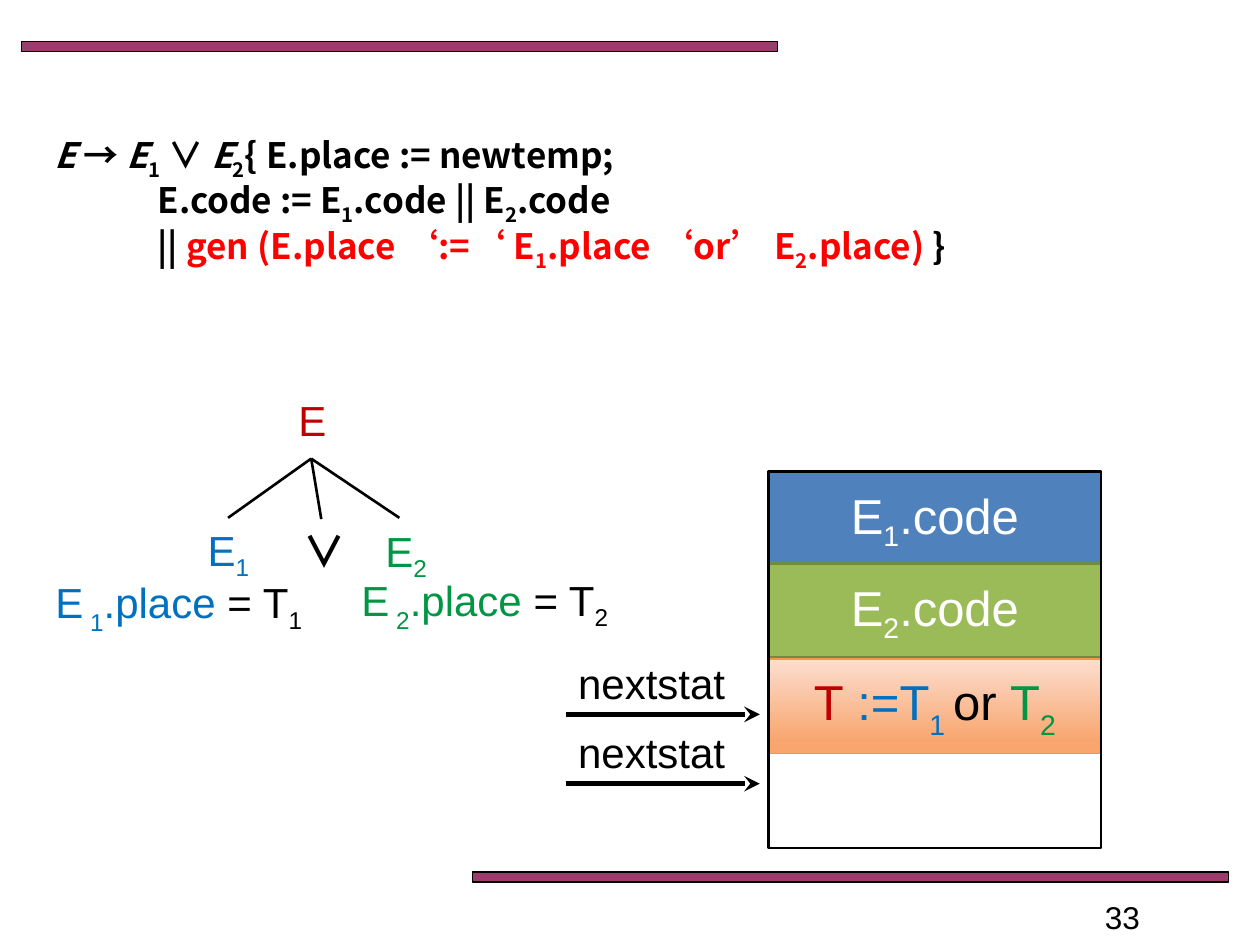
from pptx import Presentation
from pptx.dml.color import RGBColor
from pptx.enum import shapes, text
from pptx.oxml import ns, xmlchemy
from pptx.util import Inches, Pt

BLACK, WHITE, RED = "000000", "FFFFFF", "FF0000"
CRIMSON, BLUE, GREEN = "C00000", "0070C0", "009644"
SANS, CJK = "Arial", "Noto Sans CJK SC"


def rgb(code):
    return RGBColor.from_string(code)


def sub(parent, tag, **attrs):
    """Append a DrawingML element to parent."""
    node = xmlchemy.OxmlElement(tag)
    for key, val in attrs.items():
        node.set(key, val)
    parent.append(node)
    return node


def write(par, parts, size, face=SANS, bold=False):
    """Add runs given as (text, colour, baseline percent, italic)."""
    for words, color, *more in parts:
        base, slant = (more + [0, False][len(more):])
        run = par.add_run()
        run.text = words
        font = run.font
        font.size, font.name = Pt(size), face
        font.bold, font.italic = bold, slant
        font.color.rgb = rgb(color)
        props = run._r.get_or_add_rPr()
        if base:
            props.set("baseline", str(base * 1000))
        if face == CJK:
            props.set("lang", "zh-CN")
            sub(props, "a:ea", typeface=face)


def label(slide, box, parts, size=24, face=SANS, bold=False, wrap=False):
    frame = slide.shapes.add_textbox(*map(Inches, box)).text_frame
    frame.word_wrap = wrap
    write(frame.paragraphs[0], parts, size, face, bold)


def block(slide, box, fill, edge, width):
    """Draw a rectangle; fill is a hex string, a list of stops or None."""
    rect = slide.shapes.add_shape(
        shapes.MSO_SHAPE.RECTANGLE, *map(Inches, box))
    rect.shadow.inherit = False
    if fill is None:
        rect.fill.background()
    elif isinstance(fill, str):
        rect.fill.solid()
        rect.fill.fore_color.rgb = rgb(fill)
    else:
        rect.fill.gradient()
        rect.fill.gradient_angle = 270
        for stop, (pos, color) in zip(rect.fill.gradient_stops, fill):
            stop.position = pos
            stop.color.rgb = rgb(color)
    rect.line.color.rgb = rgb(edge)
    rect.line.width = Pt(width)
    return rect


def stroke(slide, start, end, width, arrow=False):
    line = slide.shapes.add_connector(
        shapes.MSO_CONNECTOR.STRAIGHT, *map(Inches, start + end))
    line.line.color.rgb = rgb(BLACK)
    line.line.width = Pt(width)
    if arrow:
        sub(line.line._get_or_add_ln(), "a:tailEnd", type="stealth")
    sub(line._element.spPr, "a:effectLst")


def bars(slide):
    for left, top in ((0.17, 0.33), (3.75, 6.92)):
        bar = block(slide, (left, top, 6, 0.08), "993366", BLACK, 0.75)
        tint = bar._element.spPr.find(ns.qn("a:solidFill"))[0]
        sub(tint, "a:alpha", val="96000")


def rule(slide, box):
    """Fill the body placeholder with the translation rule."""
    body = slide.placeholders[1]
    body.left, body.top, body.width, body.height = map(Inches, box)
    frame = body.text_frame
    frame.word_wrap = True
    frame.auto_size = text.MSO_AUTO_SIZE.NONE
    frame.vertical_anchor = text.MSO_ANCHOR.TOP
    lines = (
        [("E ", BLACK, 0, True), ("→", BLACK), (" E", BLACK, 0, True),
         ("1", BLACK, -25), (" ∨ ", BLACK), ("E", BLACK, 0, True),
         ("2", BLACK, -25), ("{ E.place := newtemp;", BLACK)],
        [("E.code := E", BLACK), ("1", BLACK, -25), (".code || E", BLACK),
         ("2", BLACK, -25), (".code", BLACK)],
        [("|| ", BLACK), ("gen (E.place ‘:=‘ E", RED), ("1", RED, -25),
         (".place ‘or’ E", RED), ("2", RED, -25), (".place) ", RED),
         ("}", BLACK)],
    )
    for row, parts in enumerate(lines):
        par = frame.add_paragraph() if row else frame.paragraphs[0]
        props = par._p.get_or_add_pPr()
        props.set("marL", str(Inches(0.82) if row else 0))
        props.set("indent", "0")
        sub(props, "a:buNone")
        par.alignment = text.PP_ALIGN.LEFT
        par.space_before = Pt(0)
        par.line_spacing = 0.95
        write(par, parts, 20, CJK, True)


def tree(slide, left, top):
    """Draw the parse tree with the places of both operands."""
    def at(x, y, wide):
        return left + x, top + y, wide, 0.5

    label(slide, at(1.93, 0, 0.42), [("E", CRIMSON)])
    root = (left + 2.13, top + 0.56)
    for x, y in ((1.47, 1.03), (2.21, 1.04), (2.83, 1.03)):
        stroke(slide, root, (left + x, top + y), 1.5)
    label(slide, at(1.97, 1.04, 0.41), [("∨", BLACK)], face=CJK, bold=True)
    sides = (("1", BLUE, 1.21, 1.03, 0, 1.45),
             ("2", GREEN, 2.62, 1.04, 2.43, 1.43))
    for num, color, x, y, far, low in sides:
        label(slide, at(x, y, 0.55), [("E", color), (num, color, -25)])
        label(slide, at(far, low, 2.22),
              [("E", color), (" " + num, color, -30), (".place ", color),
               ("= T", BLACK), (num, BLACK, -25)])


def stack(slide, left, top, wide, high):
    """Draw the code blocks inside one frame."""
    def code(num):
        return [("E", WHITE), (num, WHITE, -25), (".code", WHITE)]

    total = [("T", CRIMSON), (" :=T", BLUE), ("1 ", BLUE, -30),
             ("or ", BLACK), ("T", GREEN), ("2", GREEN, -30)]
    cells = (
        (0, "4F81BD", "3A5F8C", 1.5, code("1")),
        (0.73, "9BBB59", "738A42", 1.5, code("2")),
        (1.49, [(0, "FCDECF"), (0.88, "F8A56E")], "F79646", 1, total),
    )
    for down, fill, edge, width, parts in cells:
        cell = block(slide, (left, top + down, wide, 0.75), fill, edge, width)
        frame = cell.text_frame
        frame.word_wrap = False
        frame.vertical_anchor = text.MSO_ANCHOR.MIDDLE
        par = frame.paragraphs[0]
        par.alignment = text.PP_ALIGN.CENTER
        write(par, parts, 28)
    block(slide, (left, top, wide, high), None, BLACK, 1.5)


def marks(slide, left, top):
    for row in range(2):
        y = top + row * 0.55
        label(slide, (left, y, 1.38, 0.5), [("nextstat", BLACK)])
        stroke(slide, (left, y + 0.5), (left + 1.54, y + 0.5), 3, True)


def main():
    deck = Presentation()
    deck.slide_width, deck.slide_height = Inches(10), Inches(7.5)
    slide = deck.slides.add_slide(deck.slide_layouts[1])
    title = slide.shapes.title._element
    title.getparent().remove(title)
    bars(slide)
    rule(slide, (0.33, 1.01, 9, 1.45))
    tree(slide, 0.34, 3.08)
    stack(slide, 6.1, 3.74, 2.64, 2.99)
    marks(slide, 4.49, 5.17)
    label(slide, (8.67, 7.08, 1.2, 0.27), [("33", BLACK)], 18, wrap=True)
    deck.save("out.pptx")


if __name__ == "__main__":
    main()
